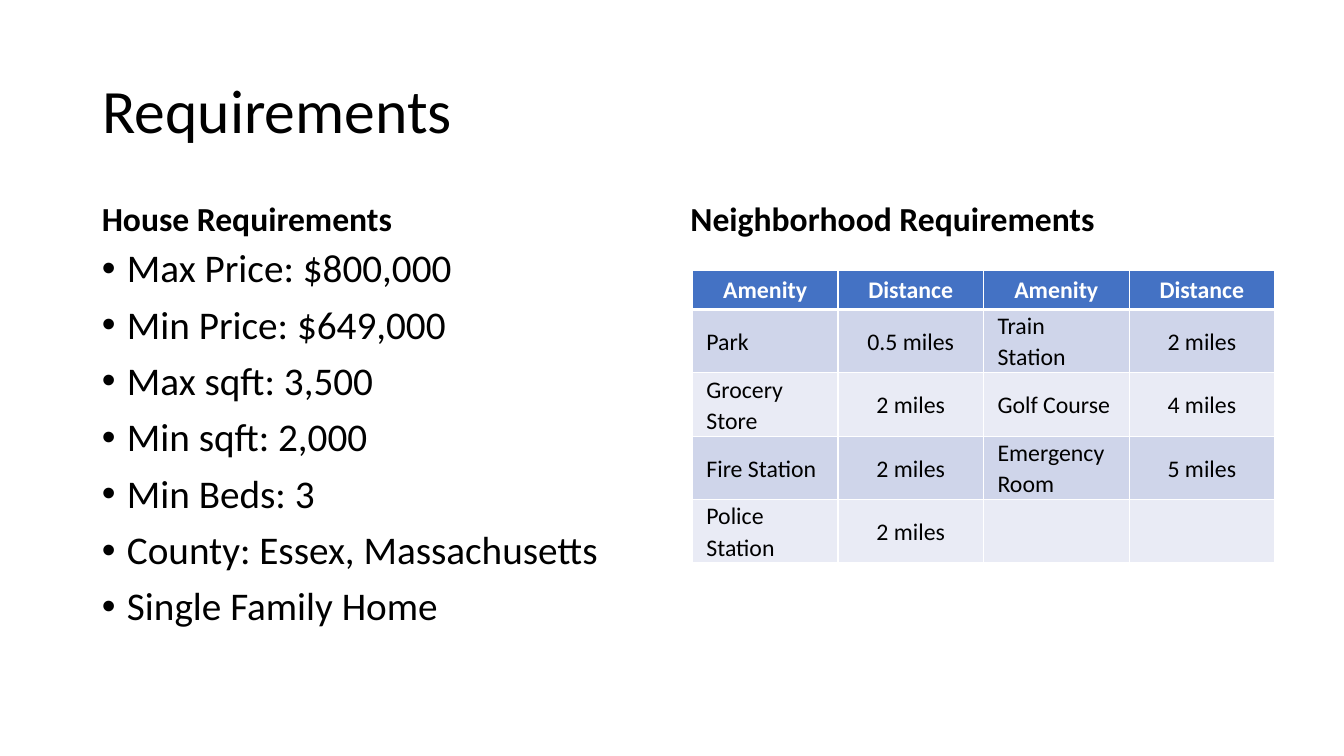
from dataclasses import dataclass

from lxml.etree import SubElement
from pptx import Presentation
from pptx.dml.color import RGBColor
from pptx.enum.text import MSO_ANCHOR as Anchor, MSO_AUTO_SIZE as AutoSize, PP_ALIGN as Align
from pptx.oxml.ns import qn
from pptx.slide import Slide
from pptx.table import _Cell as Cell
from pptx.util import Pt

FONT = "Calibri"
BLACK = RGBColor(0x00, 0x00, 0x00)
WHITE = RGBColor(0xFF, 0xFF, 0xFF)
HEADER_BLUE = RGBColor(0x44, 0x72, 0xC4)
BAND_DARK = RGBColor(0xCF, 0xD5, 0xEA)
BAND_LIGHT = RGBColor(0xE9, 0xEB, 0xF5)

COMPARISON_LAYOUT = 4
UNUSED_PLACEHOLDER = 4
BULLET_INDENT = 18


@dataclass(frozen=True)
class TextBlock:
    placeholder: int
    left: float
    top: float
    width: float
    height: float
    lines: tuple[str, ...]
    size: float
    anchor: Anchor
    bold: bool = False
    bulleted: bool = False
    space_before: float = 10


TEXT_BLOCKS = (
    TextBlock(0, 66, 28.8, 828, 104.4, ("Requirements",), 44, Anchor.MIDDLE, space_before=0),
    TextBlock(1, 65.5, 109.4, 406, 64.8, ("House Requirements",), 24, Anchor.BOTTOM, bold=True),
    TextBlock(
        2, 65.5, 174.2, 406, 290,
        (
            "Max Price: $800,000",
            "Min Price: $649,000",
            "Max sqft: 3,500",
            "Min sqft: 2,000",
            "Min Beds: 3",
            "County: Essex, Massachusetts",
            "Single Family Home",
        ),
        28, Anchor.TOP, bulleted=True,
    ),
    TextBlock(3, 486, 109.4, 408, 64.8, ("Neighborhood Requirements",), 24, Anchor.BOTTOM, bold=True),
)

AMENITIES = (
    ("Amenity", "Distance", "Amenity", "Distance"),
    ("Park", "0.5 miles", "Train Station", "2 miles"),
    ("Grocery Store", "2 miles", "Golf Course", "4 miles"),
    ("Fire Station", "2 miles", "Emergency Room", "5 miles"),
    ("Police Station", "2 miles", "", ""),
)
TABLE_LEFT, TABLE_TOP = 494.6, 193
COLUMN_WIDTH = 104
HEADER_HEIGHT, ROW_HEIGHT = 28, 45.3


def fill_placeholder(slide: Slide, block: TextBlock) -> None:
    shape = slide.placeholders[block.placeholder]
    shape.left, shape.top = Pt(block.left), Pt(block.top)
    shape.width, shape.height = Pt(block.width), Pt(block.height)
    frame = shape.text_frame
    frame.text = "\n".join(block.lines)
    frame.word_wrap = True
    frame.auto_size = AutoSize.NONE
    frame.vertical_anchor = block.anchor
    for paragraph in frame.paragraphs:
        paragraph.alignment = Align.LEFT
        paragraph.line_spacing = 0.9
        paragraph.space_before = Pt(block.space_before)
        paragraph.font.name = FONT
        paragraph.font.size = Pt(block.size)
        paragraph.font.bold = block.bold
        paragraph.font.color.rgb = BLACK
        if block.bulleted:
            properties = paragraph._p.get_or_add_pPr()
            properties.set("marL", str(Pt(BULLET_INDENT)))
            properties.set("indent", str(-Pt(BULLET_INDENT)))


def add_borders(cell: Cell, top: float, bottom: float) -> None:
    properties = cell._tc.get_or_add_tcPr()
    for side, width in (("L", 1), ("R", 1), ("T", top), ("B", bottom)):
        line = SubElement(properties, qn(f"a:ln{side}"), w=str(Pt(width)))
        SubElement(SubElement(line, qn("a:solidFill")), qn("a:srgbClr"), val=str(WHITE))


def format_cell(cell: Cell, text: str, row: int, column: int) -> None:
    is_header = row == 0
    # Borders come before the fill in the cell properties
    add_borders(cell, top=3 if row == 1 else 1, bottom=3 if is_header else 1)
    cell.fill.solid()
    cell.fill.fore_color.rgb = HEADER_BLUE if is_header else BAND_DARK if row % 2 else BAND_LIGHT
    cell.margin_left = cell.margin_right = Pt(10)
    cell.margin_top = cell.margin_bottom = Pt(0)
    cell.vertical_anchor = Anchor.MIDDLE
    cell.text = text
    paragraph = cell.text_frame.paragraphs[0]
    paragraph.alignment = Align.CENTER if is_header or column % 2 else Align.LEFT
    paragraph.line_spacing = 1.07
    paragraph.font.name = FONT
    paragraph.font.size = Pt(17)
    paragraph.font.bold = is_header
    paragraph.font.color.rgb = WHITE if is_header else BLACK


def add_amenity_table(slide: Slide) -> None:
    row_count, column_count = len(AMENITIES), len(AMENITIES[0])
    table = slide.shapes.add_table(
        row_count, column_count, Pt(TABLE_LEFT), Pt(TABLE_TOP),
        Pt(COLUMN_WIDTH * column_count), Pt(HEADER_HEIGHT + ROW_HEIGHT * (row_count - 1)),
    ).table
    for table_column in table.columns:
        table_column.width = Pt(COLUMN_WIDTH)
    for row, texts in enumerate(AMENITIES):
        table.rows[row].height = Pt(ROW_HEIGHT if row else HEADER_HEIGHT)
        for column, text in enumerate(texts):
            format_cell(table.cell(row, column), text, row, column)


def main() -> None:
    presentation = Presentation()
    presentation.slide_width, presentation.slide_height = Pt(960), Pt(540)
    slide = presentation.slides.add_slide(presentation.slide_layouts[COMPARISON_LAYOUT])

    # Title, headings and house list
    for block in TEXT_BLOCKS:
        fill_placeholder(slide, block)

    # The table takes the place of the right-hand content placeholder
    unused = slide.placeholders[UNUSED_PLACEHOLDER]._element
    unused.getparent().remove(unused)
    add_amenity_table(slide)

    presentation.save("out.pptx")


if __name__ == "__main__":
    main()
